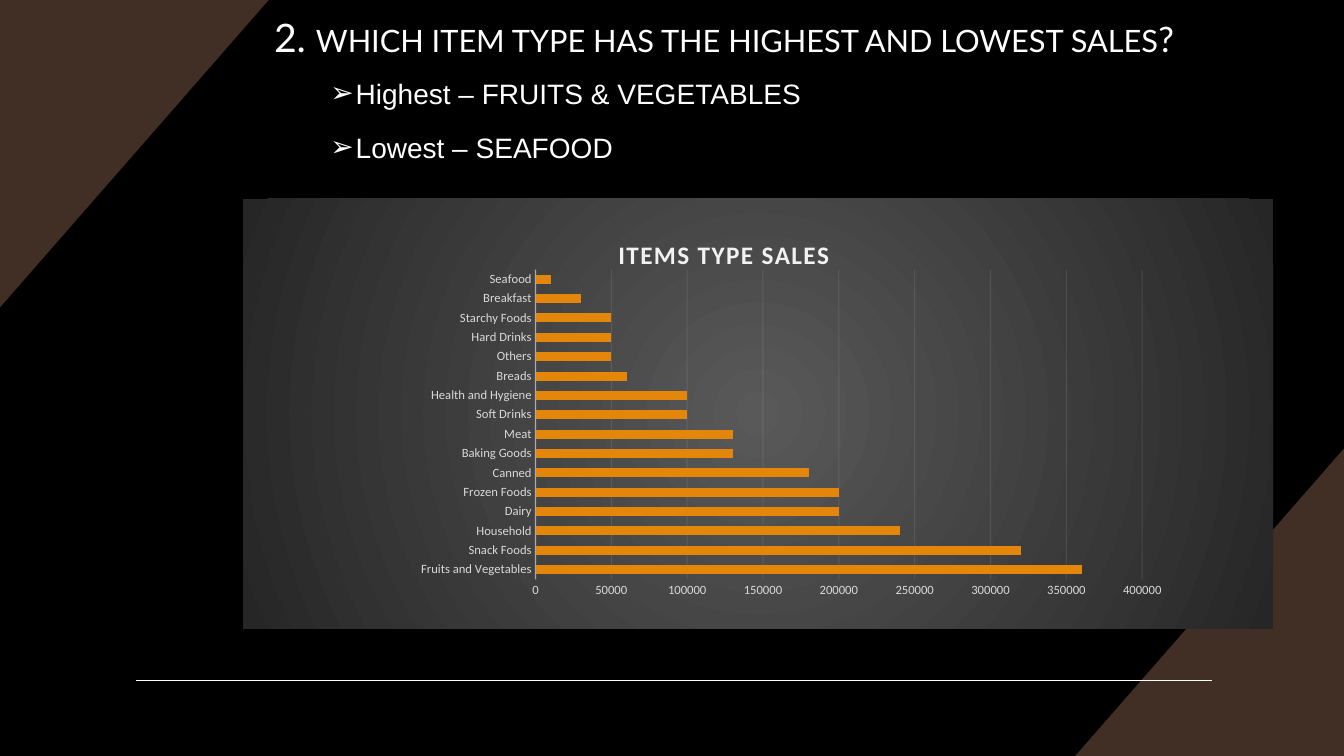
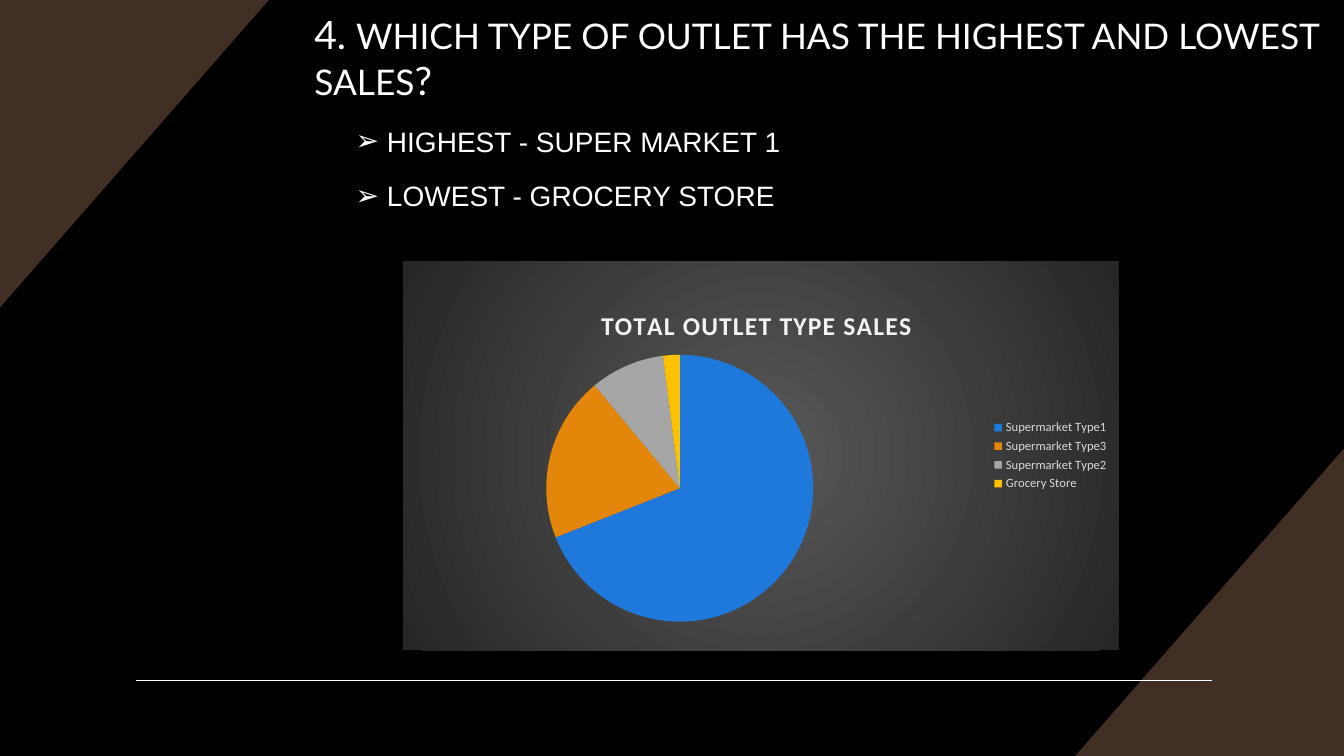
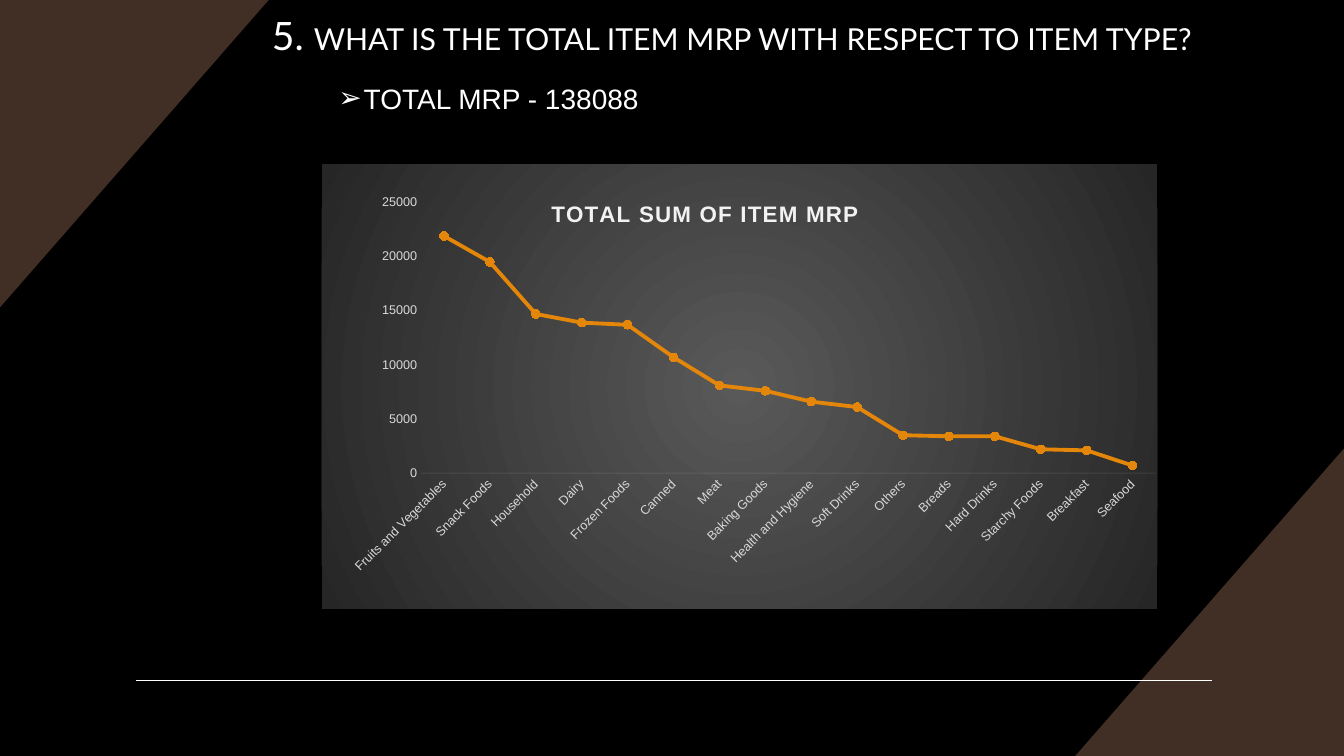
from lxml.etree import SubElement
from pptx import Presentation
from pptx.chart.data import CategoryChartData
from pptx.dml.color import RGBColor
from pptx.enum.chart import XL_CHART_TYPE, XL_LEGEND_POSITION, XL_MARKER_STYLE, XL_TICK_MARK
from pptx.enum.shapes import MSO_CONNECTOR
from pptx.enum.text import MSO_ANCHOR
from pptx.oxml import parse_xml
from pptx.oxml.ns import nsdecls, qn
from pptx.util import Inches, Pt

WIDTH, HEIGHT = Inches(13.33), Inches(7.5)
BLACK, WHITE, BROWN = "000000", "FFFFFF", "412E24"
ORANGE, PALE, LABEL = "E38609", "F2F2F2", "D9D9D9"
PIE_COLOURS = ["1F79DD", ORANGE, "A6A6A6", "FFC000"]
TITLE_FONT, BODY_FONT, CHART_FONT = "Lato", "Arial", "Calibri"
BODY_RIGHT, BODY_BOTTOM = 90.66, 86.1

ITEM_SALES = [
    ("Fruits and Vegetables", 360000), ("Snack Foods", 320000), ("Household", 240000),
    ("Dairy", 200000), ("Frozen Foods", 200000), ("Canned", 180000),
    ("Baking Goods", 130000), ("Meat", 130000), ("Soft Drinks", 100000),
    ("Health and Hygiene", 100000), ("Breads", 60000), ("Others", 50000),
    ("Hard Drinks", 50000), ("Starchy Foods", 50000), ("Breakfast", 30000),
    ("Seafood", 10000),
]
OUTLET_SALES = [
    ("Supermarket Type1", 69), ("Supermarket Type3", 20),
    ("Supermarket Type2", 9), ("Grocery Store", 2),
]
ITEM_MRP = [
    ("Fruits and Vegetables", 21900), ("Snack Foods", 19500), ("Household", 14700),
    ("Dairy", 13900), ("Frozen Foods", 13700), ("Canned", 10700), ("Meat", 8100),
    ("Baking Goods", 7600), ("Health and Hygiene", 6600), ("Soft Drinks", 6100),
    ("Others", 3500), ("Breads", 3400), ("Hard Drinks", 3400), ("Starchy Foods", 2200),
    ("Breakfast", 2100), ("Seafood", 700),
]


def across(percent):
    return round(WIDTH * percent / 100)


def down(percent):
    return round(HEIGHT * percent / 100)


def area(left, top, width, height):
    """Turn percentages of the slide into lengths."""
    return across(left), down(top), across(width), down(height)


def colour(hex_value):
    return RGBColor.from_string(hex_value)


def paint(fill, hex_value):
    fill.solid()
    fill.fore_color.rgb = colour(hex_value)


def style(font, name, size, hex_value, bold=False):
    font.name, font.size, font.bold = name, Pt(size), bold
    font.color.rgb = colour(hex_value)


def add_corner(slide, corner, *ends):
    points = [(across(x), down(y)) for x, y in (corner, *ends)]
    builder = slide.shapes.build_freeform(*points[0], scale=1.0)
    builder.add_line_segments(points[1:], close=True)
    triangle = builder.convert_to_shape()
    triangle.shadow.inherit = False
    paint(triangle.fill, BROWN)
    triangle.line.fill.background()


def add_framed_slide(prs):
    """Add a slide with the two brown corners and the rule at the foot."""
    slide = prs.slides.add_slide(prs.slide_layouts[6])
    add_corner(slide, (100, 100), (80, 100), (100, 59.33))
    add_corner(slide, (0, 0), (20, 0), (0, 40.67))
    rule = slide.shapes.add_connector(
        MSO_CONNECTOR.STRAIGHT, across(10.13), down(90), across(90.17), down(90))
    paint(rule.line.fill, WHITE)
    rule.line.width = Pt(1)
    SubElement(rule.element.xpath("p:spPr")[0], qn("a:effectLst"))
    return slide


def add_title(slide, box, runs):
    frame = slide.shapes.add_textbox(*area(*box)).text_frame
    frame.word_wrap = True
    frame.vertical_anchor = MSO_ANCHOR.MIDDLE
    for text, size in runs:
        run = frame.paragraphs[0].add_run()
        run.text = text
        style(run.font, TITLE_FONT, size, WHITE)


def add_answers(slide, left, top, indent, answers):
    box = area(left, top, BODY_RIGHT - left, BODY_BOTTOM - top)
    frame = slide.shapes.add_textbox(*box).text_frame
    frame.word_wrap = True
    for index, answer in enumerate(answers):
        paragraph = frame.add_paragraph() if index else frame.paragraphs[0]
        properties = paragraph._p.get_or_add_pPr()
        properties.set("marL", str(Inches(indent)))
        properties.set("indent", str(-Inches(indent)))
        SubElement(properties, qn("a:buFont"), typeface=BODY_FONT)
        SubElement(properties, qn("a:buChar"), char="➢")
        paragraph.line_spacing = 1.2
        paragraph.space_before = Pt(10 if index else 0)
        run = paragraph.add_run()
        run.text = answer
        style(run.font, BODY_FONT, 20, WHITE)


def set_layout(parent, index, left, top, size=None):
    """Fix a chart part in place, in shares of the chart."""
    for old in parent.findall(qn("c:layout")):
        parent.remove(old)
    layout = parse_xml(f"<c:layout {nsdecls('c')}/>")
    manual = SubElement(layout, qn("c:manualLayout"))
    settings = [("xMode", "edge"), ("yMode", "edge"), ("x", left), ("y", top)]
    if size:
        settings = [("layoutTarget", "inner"), *settings, ("w", size[0]), ("h", size[1])]
    for tag, value in settings:
        SubElement(manual, qn(f"c:{tag}"), val=str(value))
    parent.insert(index, layout)


def add_backdrop(chart):
    """Fill the chart with a grey radial gradient."""
    backdrop = parse_xml(
        f"<c:spPr {nsdecls('c', 'a')}><a:gradFill><a:gsLst>"
        '<a:gs pos="0"><a:srgbClr val="595959"/></a:gs>'
        '<a:gs pos="100000"><a:srgbClr val="262626"/></a:gs></a:gsLst>'
        '<a:path path="circle"><a:fillToRect l="50000" t="50000" r="50000" b="50000"/>'
        "</a:path></a:gradFill><a:ln><a:noFill/></a:ln></c:spPr>")
    chart.element.find(qn("c:chart")).addnext(backdrop)


def add_chart(slide, kind, box, points, plot_box):
    data = CategoryChartData()
    data.categories = [name for name, _ in points]
    data.add_series("Series 1", [value for _, value in points])
    chart = slide.shapes.add_chart(kind, *area(*box), data).chart
    style(chart.font, BODY_FONT, 10, WHITE)
    chart.has_legend = False
    chart.plots[0].vary_by_categories = kind == XL_CHART_TYPE.PIE
    add_backdrop(chart)
    left, top, *size = plot_box
    set_layout(chart.element.xpath("c:chart/c:plotArea")[0], 0, left, top, size)
    return chart


def add_chart_title(chart, text, font, size, left, top):
    run = chart.chart_title.text_frame.paragraphs[0].add_run()
    run.text = text
    style(run.font, font, size, PALE, bold=True)
    title = chart.element.xpath("c:chart/c:title")[0]
    title.xpath(".//a:r/a:rPr")[0].set("spc", "100")
    set_layout(title, 1, left, top)


def draw_faint(chart, line, location, width, opacity):
    """Draw a pale line; location is where its colour sits in the chart."""
    paint(line.fill, PALE)
    line.width = Pt(width)
    for tone in chart.element.xpath(f".//{location}/c:spPr//a:srgbClr"):
        SubElement(tone, qn("a:alpha"), val=str(opacity * 1000))


def style_axes(chart, font, width, opacity, grid):
    for axis in (chart.category_axis, chart.value_axis):
        axis.major_tick_mark = axis.minor_tick_mark = XL_TICK_MARK.NONE
        style(axis.tick_labels.font, font, 9, LABEL)
    draw_faint(chart, chart.category_axis.format.line, "c:catAx", width, opacity)
    values = chart.value_axis
    values.format.line.fill.background()
    values.has_major_gridlines = grid
    if grid:
        draw_faint(chart, values.major_gridlines.format.line, "c:majorGridlines", 0.75, 10)


def build_item_sales(prs):
    slide = add_framed_slide(prs)
    add_title(slide, (19.65, 0, 70.97, 9.73), [
        ("2. ", 28), ("WHICH ITEM TYPE HAS THE HIGHEST AND LOWEST SALES", 22), ("?", 25)])
    add_answers(slide, 23.85, 8.53, 0.25,
                ["Highest – FRUITS & VEGETABLES", "Lowest – SEAFOOD"])
    chart = add_chart(slide, XL_CHART_TYPE.BAR_CLUSTERED, (18.08, 26.27, 76.65, 56.93),
                      ITEM_SALES, (0.284, 0.165, 0.589, 0.72))
    add_chart_title(chart, "ITEMS TYPE SALES", CHART_FONT, 18, 0.36, 0.08)
    style_axes(chart, CHART_FONT, 1, 54, grid=True)
    chart.value_axis.minimum_scale, chart.value_axis.maximum_scale = 0, 400000
    chart.value_axis.major_unit = 50000
    bars = chart.plots[0]
    bars.gap_width, bars.overlap = 115, -20
    paint(bars.series[0].format.fill, ORANGE)


def build_outlet_sales(prs):
    slide = add_framed_slide(prs)
    add_title(slide, (22.65, 0.53, 77.25, 14), [
        ("4. ", 27.9), ("WHICH TYPE OF OUTLET HAS THE HIGHEST AND LOWEST SALES", 25.2),
        ("?", 27.9)])
    add_answers(slide, 25.73, 14.93, 0.31,
                ["HIGHEST - SUPER MARKET 1", "LOWEST - GROCERY STORE"])
    chart = add_chart(slide, XL_CHART_TYPE.PIE, (30, 34.53, 53.25, 51.47),
                      OUTLET_SALES, (0.181, 0.241, 0.411, 0.686))
    add_chart_title(chart, "TOTAL OUTLET TYPE SALES", CHART_FONT, 18.3, 0.27, 0.11)
    chart.has_legend = True
    chart.legend.position = XL_LEGEND_POSITION.RIGHT
    chart.legend.include_in_layout = False
    style(chart.legend.font, CHART_FONT, 9, LABEL)
    for index, hex_value in enumerate(PIE_COLOURS):
        paint(chart.plots[0].series[0].points[index].format.fill, hex_value)


def build_item_mrp(prs):
    slide = add_framed_slide(prs)
    add_title(slide, (19.5, 1.2, 79.65, 6.8), [
        ("5. ", 27.9), ("WHAT IS THE TOTAL ITEM MRP WITH RESPECT TO ITEM TYPE?", 21.6)])
    add_answers(slide, 24.45, 9.2, 0.25, ["TOTAL MRP - 138088"])
    chart = add_chart(slide, XL_CHART_TYPE.LINE_MARKERS, (23.93, 21.73, 62.18, 58.8),
                      ITEM_MRP, (0.119, 0.086, 0.879, 0.609))
    add_chart_title(chart, "TOTAL SUM OF ITEM MRP", BODY_FONT, 16, 0.27, 0.07)
    style_axes(chart, BODY_FONT, 0.75, 10, grid=False)
    chart.value_axis.minimum_scale, chart.value_axis.maximum_scale = 0, 25000
    chart.value_axis.major_unit = 5000
    chart.element.xpath(".//c:catAx/c:txPr/a:bodyPr")[0].set("rot", "-2700000")
    mrp = chart.plots[0].series[0]
    mrp.smooth = False
    paint(mrp.format.line.fill, ORANGE)
    mrp.format.line.width = Pt(2.75)
    mrp.marker.style, mrp.marker.size = XL_MARKER_STYLE.CIRCLE, 6
    paint(mrp.marker.format.fill, ORANGE)
    paint(mrp.marker.format.line.fill, ORANGE)


def main():
    prs = Presentation()
    prs.slide_width, prs.slide_height = WIDTH, HEIGHT
    paint(prs.slide_master.background.fill, BLACK)
    build_item_sales(prs)
    build_outlet_sales(prs)
    build_item_mrp(prs)
    prs.save("out.pptx")


if __name__ == "__main__":
    main()
